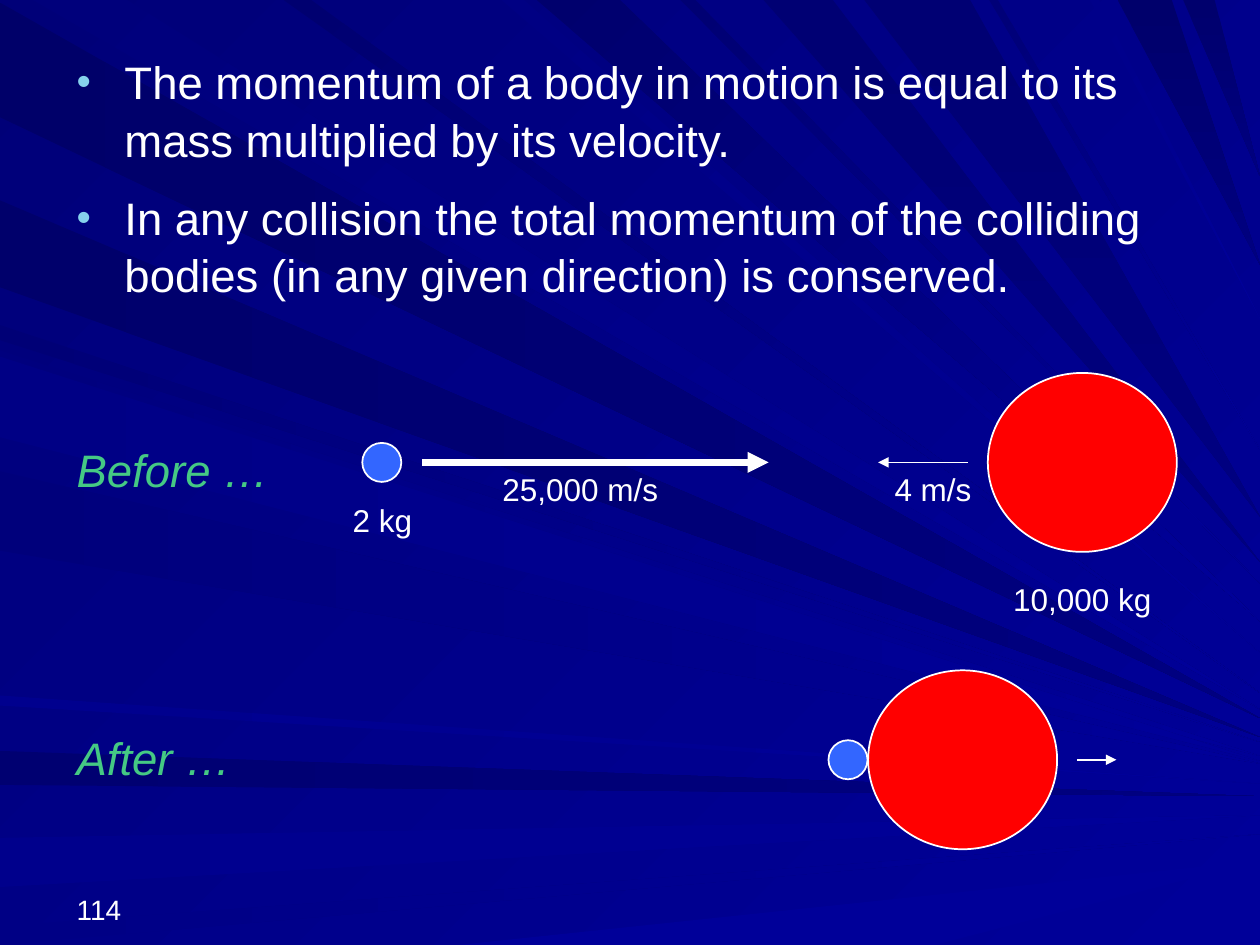
from typing import NamedTuple

from lxml.etree import SubElement
from pptx import Presentation
from pptx.dml.color import RGBColor
from pptx.enum.shapes import MSO_CONNECTOR, MSO_SHAPE
from pptx.enum.text import MSO_ANCHOR as Anchor, PP_ALIGN as Align
from pptx.oxml.ns import qn
from pptx.util import Inches, Pt

WHITE, GREEN, BULLET = "FFFFFF", "45C984", "86D1EC"
RED, BLUE, NAVY, ROYAL = "FF0000", "3366FF", "000080", "000099"
WIDTH, HEIGHT = 10, 7.5
MARGIN = 0.51


class Ray(NamedTuple):
    """A beam from a stretch of one slide edge to a point on the right edge."""
    edge: str
    near: float
    far: float
    target: float
    start: str
    end: str = ROYAL


class Body(NamedTuple):
    """A colliding body, placed by its centre."""
    x: float
    y: float
    width: float
    height: float
    color: str


class Velocity(NamedTuple):
    start: float
    end: float
    y: float
    weight: float


class Label(NamedTuple):
    text: str
    x: float
    y: float
    width: float


# Background light rays, back to front
RAYS = [
    Ray("left", 0.02, 0.93, 5.7, "000069", NAVY),
    Ray("top", 0.26, 1.01, 5.63, "00007B"),
    Ray("left", 5.96, 6.23, 6.32, "000071", NAVY),
    Ray("left", 6.65, 7.04, 6.47, "00008C"),
    Ray("left", 7.35, 7.5, 6.62, "000085"),
    Ray("bottom", 3.64, 7.42, 6.83, ROYAL),
    Ray("left", 2.58, 2.7, 5.89, "000076"),
    Ray("left", 1.59, 2.28, 5.85, "00006B", NAVY),
    Ray("top", 3.98, 4.16, 5.18, "000083"),
    Ray("top", 4.26, 4.92, 4.93, "00006D"),
    Ray("top", 5.4, 5.52, 4.63, "000073"),
    Ray("top", 6.06, 6.61, 4.46, "000073", NAVY),
    Ray("top", 8.87, 9.3, 2.1, "00006B", NAVY),
    Ray("top", 9.39, 9.64, 1.4, "00006D", NAVY),
    Ray("left", 2.78, 3.42, 6, "00007E"),
    Ray("left", 3.74, 4.37, 6.06, "00007B"),
    Ray("left", 5.52, 5.6, 6.22, "00008E"),
    Ray("top", 2.25, 2.47, 5.5, "000070"),
    Ray("top", 6.86, 7.7, 4.1, "000073", NAVY),
    Ray("top", 7.85, 7.92, 3.57, "000078"),
    Ray("top", 8.65, 8.72, 2.53, "00008A"),
    Ray("left", 2.83, 3.47, 6.04, "000085"),
]

PRINCIPLES = [
    "The momentum of a body in motion is equal to its mass multiplied by its velocity.",
    "In any collision the total momentum of the colliding bodies (in any given direction) is conserved.",
]

# Collision diagram
BEFORE_Y, AFTER_Y = 3.67, 6.03
BODIES = [
    body
    for y, small_x, large_x in [(BEFORE_Y, 3.03, 8.59), (AFTER_Y, 6.73, 7.64)]
    for body in (Body(large_x, y, 1.5, 1.42, RED), Body(small_x, y, 0.31, 0.31, BLUE))
]
VELOCITIES = [
    Velocity(3.35, 6.1, BEFORE_Y, 4),
    Velocity(7.68, 6.97, BEFORE_Y, 1),
    Velocity(8.55, 8.86, AFTER_Y, 1),
]
MEASURES = [
    Label("2 kg", 2.64, 3.91, 0.79),
    Label("25,000 m/s", 3.82, BEFORE_Y, 1.57),
    Label("4 m/s", 6.97, BEFORE_Y, 0.87),
    Label("10,000 kg", 7.84, 4.54, 1.5),
]
STAGES = [Label("Before …", MARGIN, 3.44, 1.89), Label("After …", MARGIN, 5.72, 1.89)]


def rgb(color: str) -> RGBColor:
    return RGBColor.from_string(color)


def paint_gradient(fill, start: str, end: str, angle: int) -> None:
    """Fill with a gradient at a clockwise angle."""
    fill.gradient()
    fill.gradient_angle = -angle % 360
    for stop, color in zip(fill.gradient_stops, (start, end)):
        stop.color.rgb = rgb(color)


def add_bullet(paragraph) -> None:
    properties = paragraph._p.get_or_add_pPr()
    properties.set("marL", str(Inches(0.38)))
    properties.set("indent", str(Inches(-0.38)))
    color = SubElement(properties, qn("a:buClr"))
    SubElement(color, qn("a:srgbClr"), val=BULLET)
    SubElement(properties, qn("a:buSzPct"), val="90000")
    SubElement(properties, qn("a:buFont"), typeface="Arial")
    SubElement(properties, qn("a:buChar"), char="•")


def add_text(slide, text: str, x: float, y: float, width: float, height: float, *,
             size: int = 18, color: str = WHITE, italic: bool = False, align=Align.LEFT,
             anchor=Anchor.TOP, bullets: bool = False) -> None:
    frame = slide.shapes.add_textbox(Inches(x), Inches(y), Inches(width), Inches(height)).text_frame
    frame.word_wrap = True
    frame.vertical_anchor = anchor
    frame.text = text
    for index, paragraph in enumerate(frame.paragraphs):
        paragraph.alignment = align
        paragraph.line_spacing = 1.05
        paragraph.space_before = Pt(12 if index else 0)
        font = paragraph.runs[0].font
        font.name, font.size, font.italic = "Arial", Pt(size), italic
        font.color.rgb = rgb(color)
        if bullets:
            add_bullet(paragraph)


def add_ray(slide, ray: Ray) -> None:
    def on_edge(place: float) -> tuple:
        x, y = {"left": (0, place), "top": (place, 0), "bottom": (place, HEIGHT)}[ray.edge]
        return Inches(x), Inches(y)

    builder = slide.shapes.build_freeform(*on_edge(ray.near))
    builder.add_line_segments([on_edge(ray.far), (Inches(WIDTH), Inches(ray.target))], close=True)
    beam = builder.convert_to_shape()
    beam.shadow.inherit = False
    beam.line.fill.background()
    top_angle = 90 if ray.end == NAVY else 45
    paint_gradient(beam.fill, ray.start, ray.end, top_angle if ray.edge == "top" else 0)


def add_body(slide, body: Body) -> None:
    ball = slide.shapes.add_shape(
        MSO_SHAPE.OVAL, Inches(body.x - body.width / 2), Inches(body.y - body.height / 2),
        Inches(body.width), Inches(body.height))
    ball.shadow.inherit = False
    ball.fill.solid()
    ball.fill.fore_color.rgb = rgb(body.color)
    ball.line.color.rgb = rgb(WHITE)
    ball.line.width = Pt(1)


def add_velocity(slide, velocity: Velocity) -> None:
    y = Inches(velocity.y)
    arrow = slide.shapes.add_connector(
        MSO_CONNECTOR.STRAIGHT, Inches(velocity.start), y, Inches(velocity.end), y)
    arrow.line.color.rgb = rgb(WHITE)
    arrow.line.width = Pt(velocity.weight)
    SubElement(arrow.line._get_or_add_ln(), qn("a:tailEnd"), type="triangle")
    SubElement(arrow._element.spPr, qn("a:effectLst"))


def main() -> None:
    deck = Presentation()
    deck.slide_width, deck.slide_height = Inches(WIDTH), Inches(HEIGHT)
    slide = deck.slides.add_slide(deck.slide_layouts[6])

    # Background
    paint_gradient(slide.background.fill, "000078", ROYAL, 45)
    for ray in RAYS:
        add_ray(slide, ray)

    # Slide number and principles
    add_text(slide, "114", MARGIN, 6.9, 2.33, 0.5, size=16, anchor=Anchor.BOTTOM)
    add_text(slide, "\n".join(PRINCIPLES), MARGIN, 0.36, 9, 6.34, size=26, bullets=True)

    # Collision before and after
    for body in BODIES:
        add_body(slide, body)
    for velocity in VELOCITIES:
        add_velocity(slide, velocity)
    for measure in MEASURES:
        add_text(slide, *measure, 0.4, align=Align.CENTER)
    for stage in STAGES:
        add_text(slide, *stage, 0.53, size=26, color=GREEN, italic=True)

    deck.save("out.pptx")


if __name__ == "__main__":
    main()
